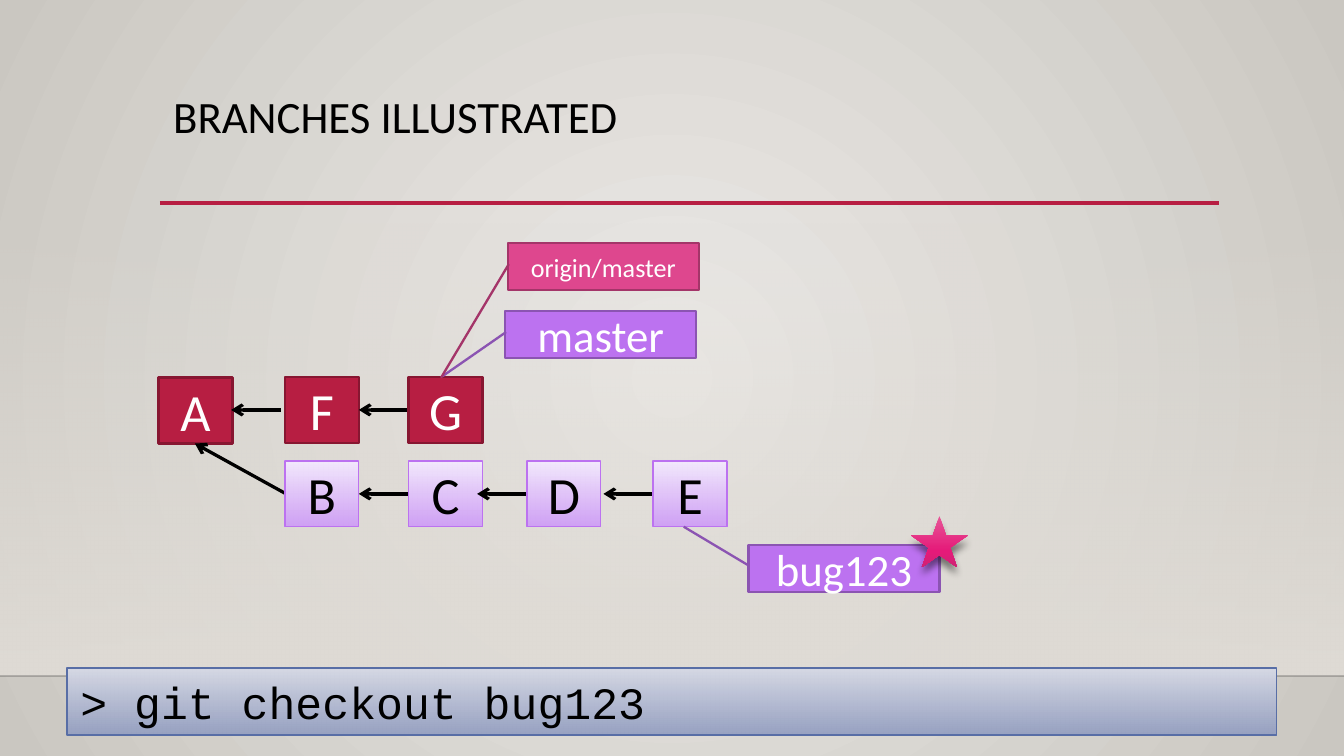
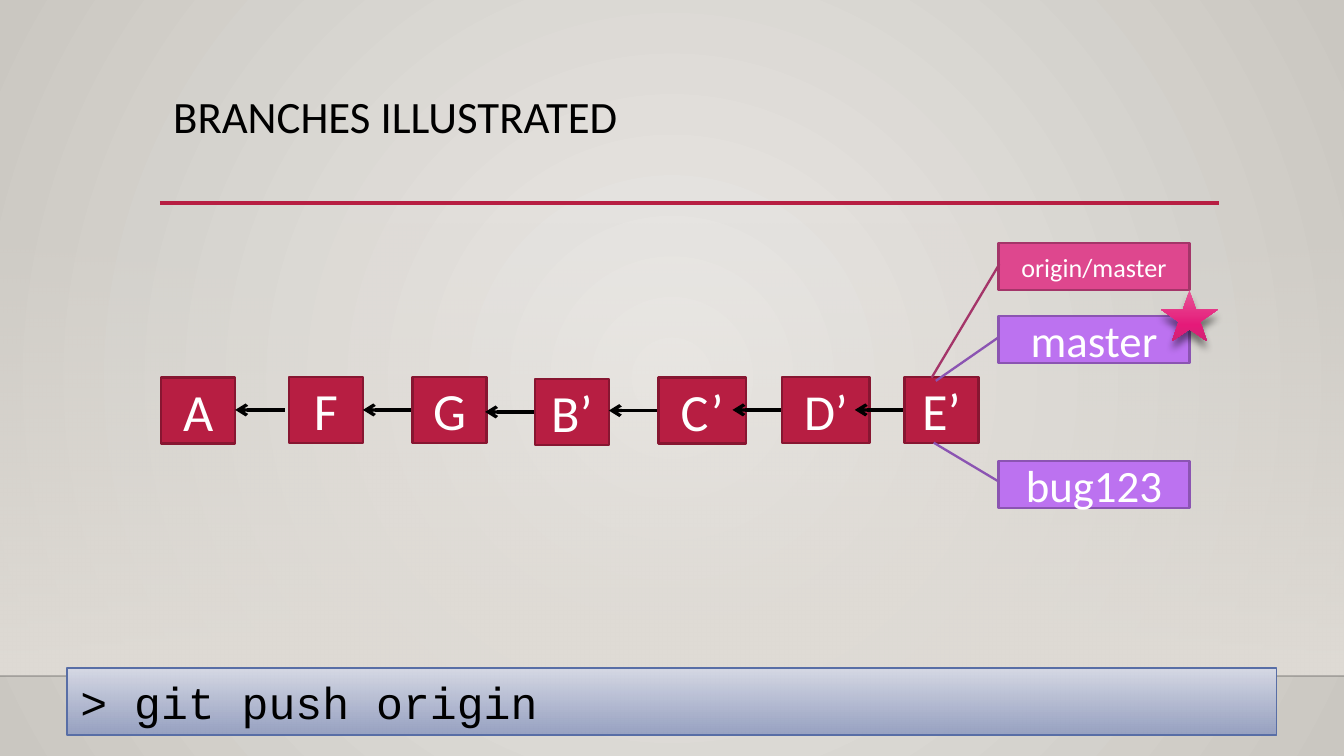
from lxml import etree
from pptx import Presentation
from pptx.dml.color import RGBColor
from pptx.enum.shapes import MSO_CONNECTOR, MSO_SHAPE
from pptx.enum.text import MSO_ANCHOR, PP_ALIGN
from pptx.oxml.ns import qn
from pptx.util import Inches, Pt

RECT, STAR = MSO_SHAPE.RECTANGLE, MSO_SHAPE.STAR_5_POINT
CALL = MSO_SHAPE.LINE_CALLOUT_1
STRAIGHT = MSO_CONNECTOR.STRAIGHT
LEFT, CENTER = PP_ALIGN.LEFT, PP_ALIGN.CENTER
TOP, MIDDLE = MSO_ANCHOR.TOP, MSO_ANCHOR.MIDDLE

WIDE, HIGH = 10, 5.625
CELL = WIDE / 100  # the grid has 100 columns of square cells

HEX = {
    "black": "000000", "white": "FFFFFF", "floor": "000001",
    "red": "B71E42", "wine": "871631",
    "violet": "BC72F0", "plum": "8B54B2",
    "pink": "DE478E", "rose": "A43569", "steel": "586EA6",
}
# Gradient stops: position in %, colour, opacity in %
FADE = {
    "back": [(0, "ECEAE7", 100), (100, "CAC7C1", 100)],
    "wall": [(0, "DFDBD5", 0), (100, "DFDBD5", 100)],
    "lilac": [(0, "F4EAFD", 100), (100, "CE9CF7", 92)],
    "bar": [(0, "D6D9E5", 100), (100, "929DC0", 92)],
    "star": [(0, "E75597", 100), (69, "E51A79", 100), (100, "CF2374", 100)],
}
# Looks: fill, line colour, line width, text format
LOOK = {
    "main": ("red", "wine", 1.25, {"size": 28, "color": "white"}),
    "work": ("lilac", "violet", 0.75, {"size": 28, "color": "black"}),
    "local": ("violet", "plum", 1.25, {"size": 24, "color": "white"}),
    "remote": ("pink", "rose", 1.25, {"size": 14, "color": "white"}),
    "bar": ("bar", "steel", 0.75,
            {"size": 24, "color": "black", "name": "Courier New"}),
}
# Branch tags: look, callout line as shares of the tag (y, x, y, x)
TAGS = {
    "origin/master": ("remote", (0.446, 0.004, 2.86, -0.351)),
    "master": ("local", (0.446, 0.004, 1.383, -0.329)),
    "bug123": ("local", (0.446, 0.004, -0.389, -0.34)),
}
TITLE = "BRANCHES ILLUSTRATED"
NODE, TAG = (5.5, 4.9), (14.2, 3.5)
STEP = 3.7  # length of an arrow between commits


def cells(*sizes):
    return [Inches(size * CELL) for size in sizes]


def rgb(name):
    return RGBColor.from_string(HEX[name])


def add(parent, tag, **values):
    node = etree.SubElement(parent, qn(tag))
    for key, value in values.items():
        node.set(key, str(value))
    return node


def tint(parent, code, alpha):
    color = add(parent, "a:srgbClr", val=code)
    if alpha < 100:
        add(color, "a:alpha", val=alpha * 1000)


def shade(fill, props, name, round_=False):
    """Put a gradient in place of the solid fill of props."""
    fill.solid()
    old = props.find(qn("a:solidFill"))
    grad = etree.Element(qn("a:gradFill"), rotWithShape="1")
    stops = add(grad, "a:gsLst")
    for place, code, alpha in FADE[name]:
        tint(add(stops, "a:gs", pos=place * 1000), code, alpha)
    if round_:
        path = add(grad, "a:path", path="circle")
        add(path, "a:fillToRect", l=50000, t=50000, r=50000, b=50000)
    else:
        add(grad, "a:lin", ang=90 * 60000, scaled=0)
    props.replace(old, grad)


def write(shape, text, form, align=LEFT, anchor=TOP, wrap=True):
    frame = shape.text_frame
    for key, value in {"word_wrap": wrap, "vertical_anchor": anchor}.items():
        setattr(frame, key, value)
    para = frame.paragraphs[0]
    para.alignment = align
    run = para.add_run()
    run.text = text
    run.font.color.rgb = rgb(form["color"])
    values = {"name": form.get("name", "Calibri"), "size": Pt(form["size"])}
    for key, value in values.items():
        setattr(run.font, key, value)
    return para


def block(slide, kind, box, fill, edge=None, width=0):
    shape = slide.shapes.add_shape(kind, *cells(*box))
    shape.shadow.inherit = False
    if fill in FADE:
        shade(shape.fill, shape.element.spPr, fill)
    else:
        shape.fill.solid()
        shape.fill.fore_color.rgb = rgb(fill)
    if edge:
        shape.line.color.rgb = rgb(edge)
        shape.line.width = Pt(width)
    else:
        shape.line.fill.background()
    return shape


def line(slide, start, end, color, width, alpha=100, head=False):
    link = slide.shapes.add_connector(STRAIGHT, *cells(*start, *end))
    link.line.color.rgb = rgb(color)
    link.line.width = Pt(width)
    props = link.element.spPr
    edge = props.find(qn("a:ln"))
    if alpha < 100:
        add(edge.find(".//" + qn("a:srgbClr")), "a:alpha", val=alpha * 1000)
    if head:
        add(edge, "a:tailEnd", type="arrow")
    add(props, "a:effectLst")


def arrow(slide, start, end):
    line(slide, start, end, "black", 1.75, head=True)


def commit(slide, text, x, y, look="main", wide=NODE[0], size=None):
    fill, edge, width, form = LOOK[look]
    shape = block(slide, RECT, (x, y, wide, NODE[1]), fill, edge, width)
    form = {**form, "size": size or form["size"]}
    write(shape, text, form, CENTER, MIDDLE, wrap=False)


def chain(slide, nodes, look="main", shift=0):
    """Draw commits, each with an arrow back to the one before it."""
    for spot, (text, x, y, *more) in enumerate(nodes):
        if spot:
            start = x - (shift if spot == 1 else 0)
            mid = y + NODE[1] / 2
            arrow(slide, (start, mid), (start - STEP, mid))
        commit(slide, text, x, y, look, *more)


def tag(slide, text, x, y):
    look, bends = TAGS[text]
    fill, edge, width, form = LOOK[look]
    shape = block(slide, CALL, (x, y, *TAG), fill, edge, width)
    for spot, bend in enumerate(bends):
        shape.adjustments[spot] = bend
    write(shape, text, form, CENTER, MIDDLE)


def star(slide, x, y):
    """Mark the branch that is checked out."""
    shape = block(slide, STAR, (x, y, 4.2, 3.8), "star")
    glow = add(shape.element.spPr.find(qn("a:effectLst")), "a:outerShdw",
               blurRad=Pt(4), dist=Pt(4), dir=90 * 60000, rotWithShape=0)
    tint(glow, HEX["black"], 48)


def base(deck, command):
    slide = deck.slides.add_slide(deck.slide_layouts[6])
    back = slide.background.fill
    back.solid()
    shade(back, slide.element.find(".//" + qn("p:bgPr")), "back", round_=True)
    block(slide, RECT, (0, 16.6, 100, 33.7), "wall")
    line(slide, (0, 50.3), (100, 50.3), "floor", 1, alpha=20)
    line(slide, (11.9, 15.1), (90.7, 15.1), "red", 2.5)
    title = slide.shapes.add_textbox(*cells(11.9, 6.6, 78.8, 8.6))
    write(title, TITLE, {"size": 24, "color": "black"}).line_spacing = 0.9
    fill, edge, width, form = LOOK["bar"]
    bar = block(slide, RECT, (5, 49.7, 90, 5), fill, edge, width)
    write(bar, command, form)
    return slide


def checkout(deck):
    slide = base(deck, "> git checkout bug123")
    chain(slide, [("A", 11.8, 28.1), ("F", 21.2, 28.05), ("G", 30.4, 28.05)],
          shift=0.3)
    arrow(slide, (21.2, 36.7), (14.5, 33))
    work = zip("BCDE", (21.2, 30.4, 39.2, 48.6))
    chain(slide, [(text, x, 34.3) for text, x in work], "work")
    tag(slide, "master", 37.6, 23.15)
    tag(slide, "bug123", 55.7, 40.55)
    tag(slide, "origin/master", 37.8, 18.1)
    star(slide, 67.8, 38.4)


def push(deck):
    slide = base(deck, "> git push origin")
    chain(slide, [
        ("A", 12, 28.1), ("F", 21.5, 28.05), ("G", 30.7, 28.05),
        ("B’", 39.8, 28.2), ("C’", 49, 28.1, 6.5),
        ("D’", 58.2, 28.05, 6.5, 27), ("E’", 67.3, 28.05),
    ], shift=0.3)
    for text, y in zip(TAGS, (18.1, 23.5, 34.3)):
        tag(slide, text, 74.3, y)
    star(slide, 86.4, 21.6)


def main():
    deck = Presentation()
    deck.slide_width, deck.slide_height = Inches(WIDE), Inches(HIGH)
    checkout(deck)
    push(deck)
    deck.save("out.pptx")


if __name__ == "__main__":
    main()
